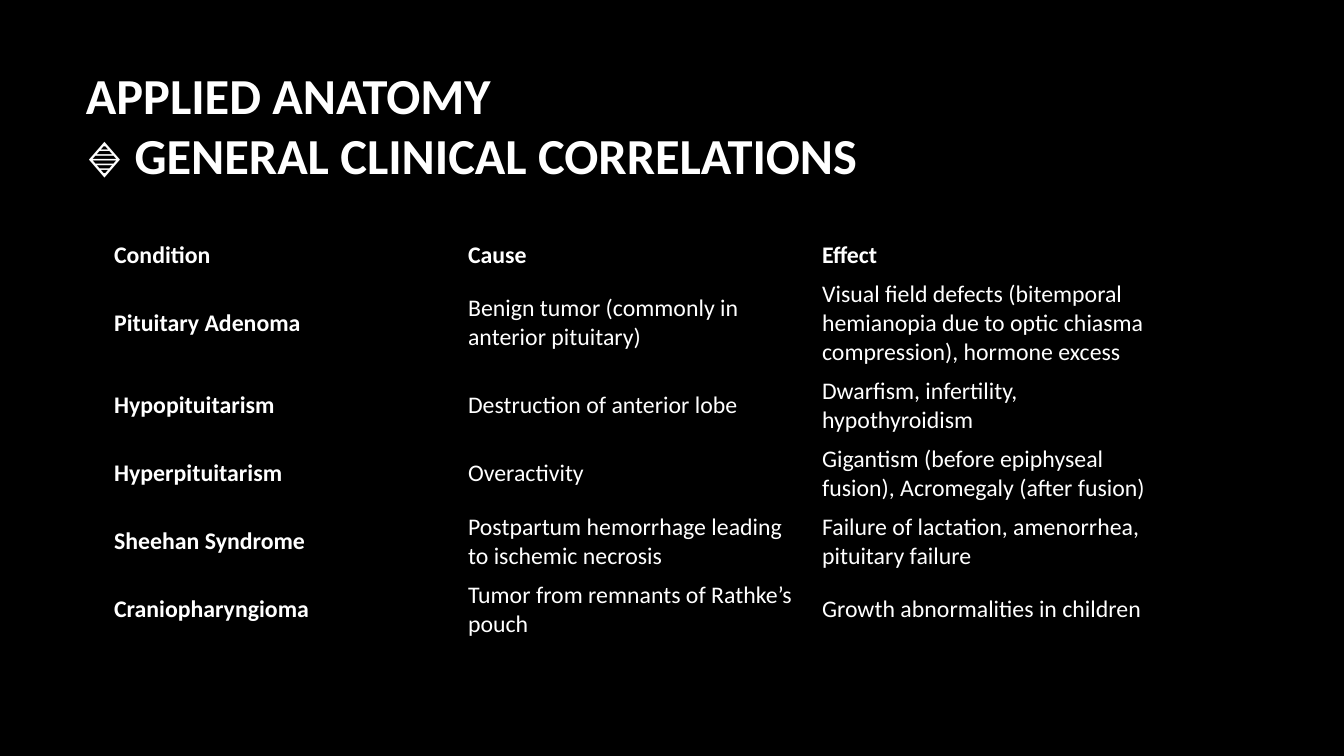
import pptx
import pptx.util
import pptx.dml.color
import pptx.enum.text

PX = 914400 / 100.8
BLACK = pptx.dml.color.RGBColor(0, 0, 0)
WHITE = pptx.dml.color.RGBColor(255, 255, 255)
NO_STYLE_NO_GRID = "{2D5ABB26-0587-4C30-8999-92F81FD0307C}"
TITLE_LINES = ["APPLIED ANATOMY", "🔹 GENERAL CLINICAL CORRELATIONS"]
ROW_HEIGHTS = [38, 97, 68, 68, 68, 68]
COLUMN_WIDTH = 354
CONDITIONS = [
    ("Condition", "Cause", "Effect"),
    ("Pituitary Adenoma", "Benign tumor (commonly in anterior pituitary)",
     "Visual field defects (bitemporal hemianopia due to optic chiasma compression), hormone excess"),
    ("Hypopituitarism", "Destruction of anterior lobe",
     "Dwarfism, infertility, hypothyroidism"),
    ("Hyperpituitarism", "Overactivity",
     "Gigantism (before epiphyseal fusion), Acromegaly (after fusion)"),
    ("Sheehan Syndrome", "Postpartum hemorrhage leading to ischemic necrosis",
     "Failure of lactation, amenorrhea, pituitary failure"),
    ("Craniopharyngioma", "Tumor from remnants of Rathke’s pouch",
     "Growth abnormalities in children"),
]


def px(n):
    return pptx.util.Emu(round(n * PX))


def set_attrs(obj, values):
    for name, value in values.items():
        setattr(obj, name, value)


def add_run(p, text, size, bold):
    r = p.add_run()
    r.text = text
    set_attrs(r.font, {"name": "Calibri", "size": pptx.util.Pt(size), "bold": bold})
    r.font.color.rgb = WHITE


def add_title(slide, lines):
    sp = slide.shapes.add_textbox(px(76), px(64), px(1117), px(164))
    tf = sp.text_frame
    set_attrs(tf, {
        "word_wrap": True,
        "margin_top": 0,
        "margin_bottom": 0,
        "vertical_anchor": pptx.enum.text.MSO_ANCHOR.TOP,
    })
    p = tf.paragraphs[0]
    p.line_spacing = pptx.util.Pt(43)
    for i, line in enumerate(lines):
        if i:
            p.add_line_break()
        add_run(p, line, 36, True)


def add_table(slide, rows):
    columns = len(rows[0])
    frame = slide.shapes.add_table(
        len(rows), columns, px(104), px(236), px(COLUMN_WIDTH * columns), px(sum(ROW_HEIGHTS)))
    table = frame.table
    set_attrs(table, {"first_row": False, "horz_banding": False})
    for style in frame._element.iter(pptx.oxml.ns.qn("a:tableStyleId")):
        style.text = NO_STYLE_NO_GRID
    for column in table.columns:
        column.width = px(COLUMN_WIDTH)
    for i, texts in enumerate(rows):
        table.rows[i].height = px(ROW_HEIGHTS[i])
        for j, text in enumerate(texts):
            cell = table.cell(i, j)
            cell.fill.solid()
            cell.fill.fore_color.rgb = BLACK
            cell.vertical_anchor = pptx.enum.text.MSO_ANCHOR.MIDDLE
            add_run(cell.text_frame.paragraphs[0], text, 17, i == 0 or j == 0)


def main():
    prs = pptx.Presentation()
    set_attrs(prs, {"slide_width": px(1344), "slide_height": px(756)})
    slide = prs.slides.add_slide(prs.slide_layouts[6])
    slide.background.fill.solid()
    slide.background.fill.fore_color.rgb = BLACK
    add_title(slide, TITLE_LINES)
    add_table(slide, CONDITIONS)
    prs.save("out.pptx")


if __name__ == "__main__":
    main()
